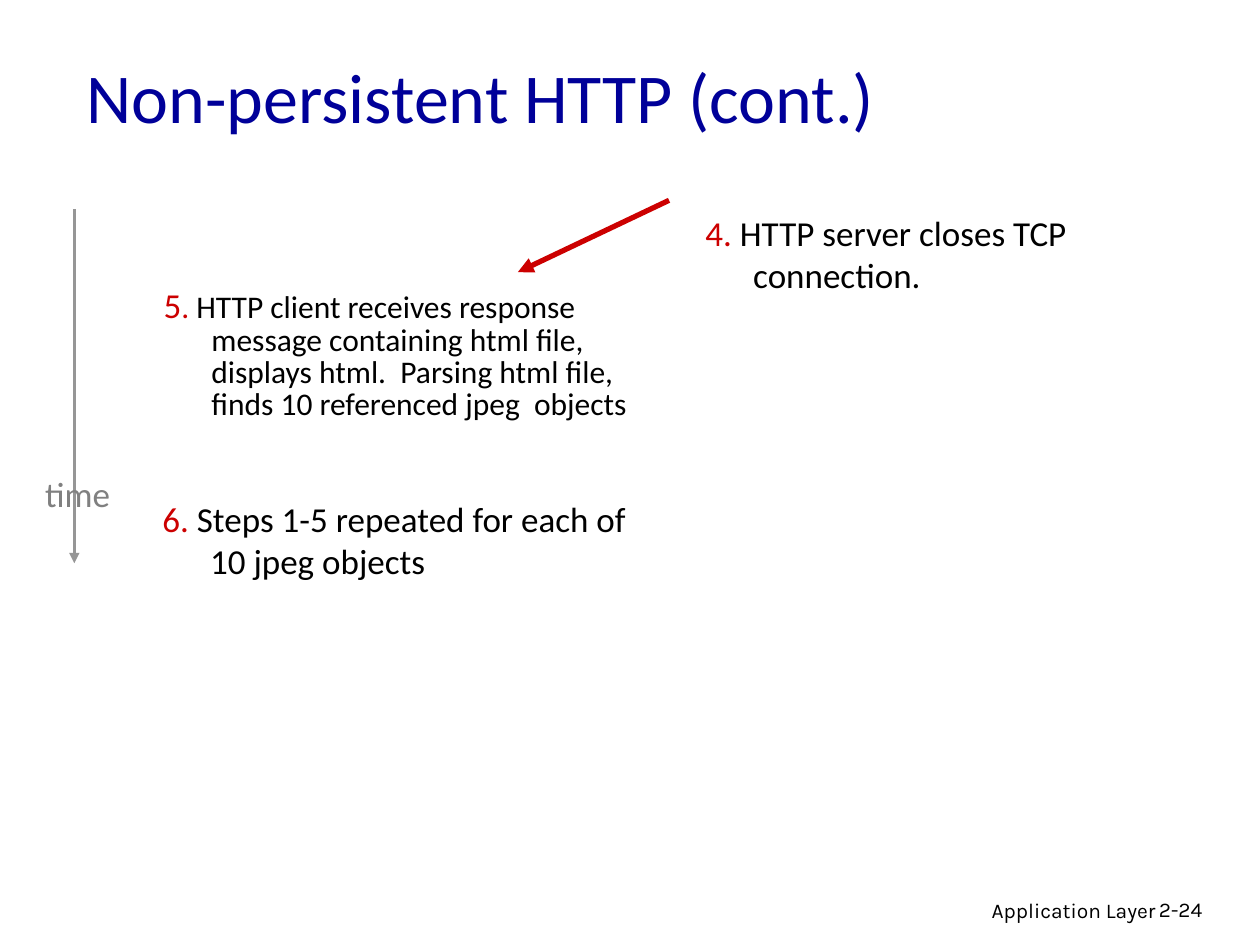
from pptx import Presentation
from pptx.dml.color import RGBColor
from pptx.enum.shapes import MSO_CONNECTOR
from pptx.enum.text import MSO_ANCHOR, PP_ALIGN
from pptx.oxml.ns import qn
from pptx.util import Inches, Pt
from lxml import etree

LEFT, CENTER, RIGHT = PP_ALIGN.LEFT, PP_ALIGN.CENTER, PP_ALIGN.RIGHT
TOP, MIDDLE = MSO_ANCHOR.TOP, MSO_ANCHOR.MIDDLE
STRAIGHT = MSO_CONNECTOR.STRAIGHT
COLORS = {"black": "000000", "navy": "000099", "red": "CC0000",
          "gray": "808080", "silver": "969696"}

deck = Presentation()
deck.slide_width, deck.slide_height = Inches(10), Inches(7.5)
slide = deck.slides.add_slide(deck.slide_layouts[6])


def add_text(box, runs, font="Calibri", align=LEFT, anchor=TOP, wrap=True):
    frame = slide.shapes.add_textbox(*[Inches(v) for v in box]).text_frame
    frame.word_wrap = wrap
    frame.vertical_anchor = anchor
    para = frame.paragraphs[0]
    para.alignment = align
    for text, size, color in runs:
        run = para.add_run()
        run.text = text
        run.font.size = Pt(size)
        run.font.name = font
        run.font.color.rgb = RGBColor.from_string(COLORS[color])
    return para


def add_arrow(start, end, color, width):
    ends = [Inches(v) for v in start + end]
    arrow = slide.shapes.add_connector(STRAIGHT, *ends)
    arrow.line.color.rgb = RGBColor.from_string(COLORS[color])
    arrow.line.width = Pt(width)
    etree.SubElement(arrow.line._get_or_add_ln(), qn("a:tailEnd"), type="triangle")
    etree.SubElement(arrow._element.spPr, qn("a:effectLst"))


# Footer
add_text((6.1, 7.07, 3.17, 0.31), [("Application Layer", 12, "black")],
         font="Karla", align=RIGHT)
add_text((9.1, 7.07, 0.74, 0.3), [("2-24", 12, "black")], font="Karla")

# Title
add_text((0.59, 0.28, 8.5, 0.95), [("Non-persistent HTTP (cont.)", 40, "navy")],
         anchor=MIDDLE)

# Numbered steps with a hanging indent
steps = [
    ((1.2, 2.25, 4.17, 1.68), 0.85, 4.5, [
        ("5", 20, "red"), (".", 18, "red"),
        (" HTTP client receives response message containing html file, "
         "displays html.  Parsing html file, finds 10 referenced jpeg  objects",
         18, "black")]),
    ((1.19, 3.9, 4.17, 0.73), 1.0, 5, [
        ("6.", 20, "red"),
        (" Steps 1-5 repeated for each of 10 jpeg objects", 20, "black")]),
    ((5.5, 1.63, 4.17, 0.8), 1.0, 5, [
        ("4.", 20, "red"),
        (" HTTP server closes TCP connection.", 20, "black")]),
]
hang = Inches(0.38)
for box, spacing, before, runs in steps:
    para = add_text(box, runs)
    para.line_spacing = spacing
    para.space_before = Pt(before)
    props = para._p.get_or_add_pPr()
    props.set("marL", str(hang))
    props.set("indent", str(-hang))

# Time axis and response arrow
add_arrow((0.59, 1.66), (0.59, 4.47), "silver", 1.5)
add_text((0.22, 3.7, 0.79, 0.44), [("time", 20, "gray")], align=CENTER, wrap=False)
add_arrow((5.31, 1.59), (4.11, 2.16), "red", 3)

deck.save("out.pptx")
